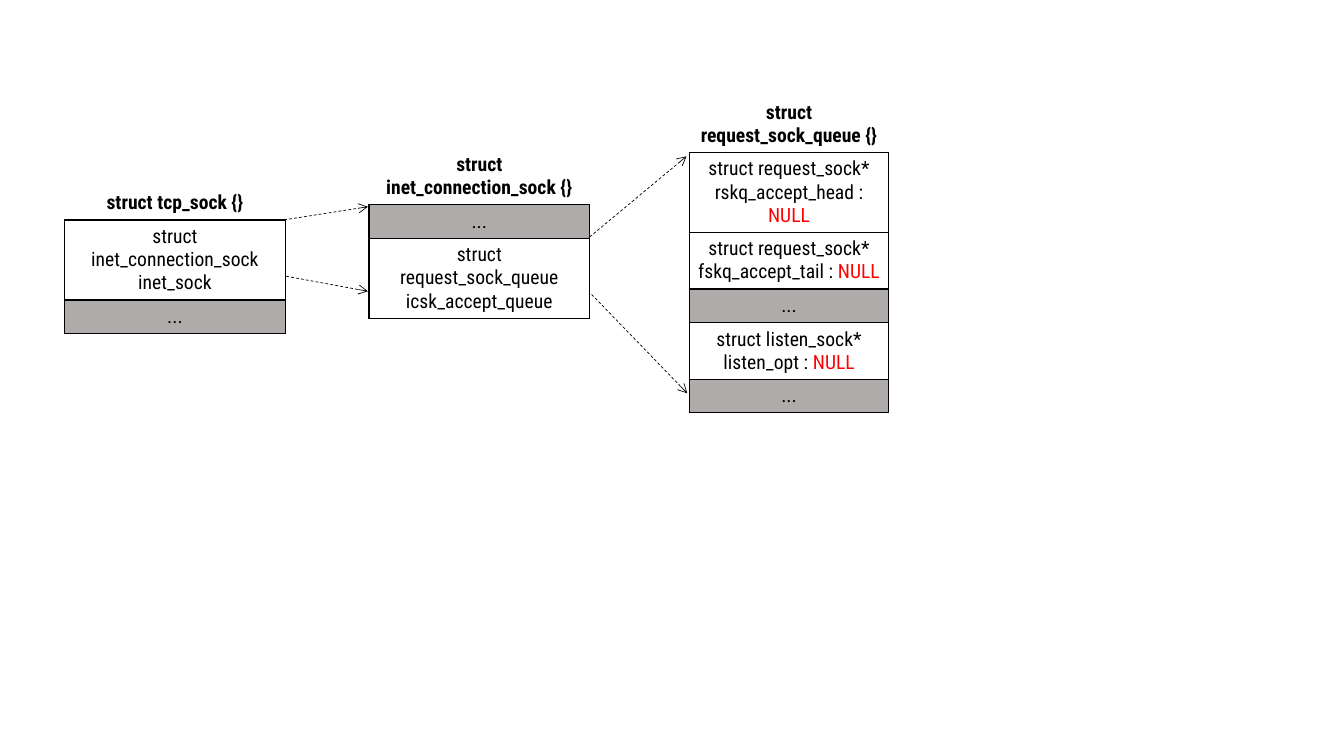
from lxml import etree
from pptx import Presentation
from pptx import util as u
from pptx.dml import color
from pptx.enum import dml, shapes, text
from pptx.oxml import ns

FONT = "Roboto Condensed"
BLACK, RED, GRAY = "000000", "FF0000", "AFABAB"
ELLIPSIS = [("...", BLACK)]
LINE_HEIGHT, ROW_PADDING = 0.585, 0.26


def rgb(value):
    return color.RGBColor.from_string(value)


def add_text(paragraph, content, size=14, fill=BLACK, bold=False):
    run = paragraph.add_run()
    run.text = content
    run.font.name = FONT
    run.font.size = u.Pt(size)
    run.font.bold = bold
    run.font.color.rgb = rgb(fill)


def set_borders(cell, visible):
    properties = cell._tc.get_or_add_tcPr()
    for side in "LRTB":
        border = etree.SubElement(properties, ns.qn(f"a:ln{side}"), w=str(u.Pt(1)))
        if side in visible:
            solid = etree.SubElement(border, ns.qn("a:solidFill"))
            etree.SubElement(solid, ns.qn("a:srgbClr"), val=BLACK)
        else:
            etree.SubElement(border, ns.qn("a:noFill"))


def add_struct(slide, left, top, width, title, title_lines, fields, side_margin=0.25):
    rows = [([(title, BLACK)], title_lines)] + fields
    heights = [u.Cm(lines * LINE_HEIGHT + ROW_PADDING) for _, lines in rows]
    struct = slide.shapes.add_table(
        len(rows), 1, u.Cm(left), u.Cm(top), u.Cm(width), sum(heights)).table
    struct.first_row = struct.horz_banding = False
    for index, (parts, _) in enumerate(rows):
        struct.rows[index].height = heights[index]
        cell = struct.cell(index, 0)
        cell.margin_left = cell.margin_right = u.Cm(side_margin)
        cell.margin_top = cell.margin_bottom = u.Cm(0.13)
        set_borders(cell, "LRTB" if index else "B")
        if parts is ELLIPSIS:
            cell.fill.solid()
            cell.fill.fore_color.rgb = rgb(GRAY)
        else:
            cell.fill.background()
        paragraph = cell.text_frame.paragraphs[0]
        paragraph.alignment = text.PP_ALIGN.CENTER
        for content, fill in parts:
            add_text(paragraph, content, fill=fill, bold=index == 0)


def add_arrow(slide, *ends):
    arrow = slide.shapes.add_connector(
        shapes.MSO_CONNECTOR.STRAIGHT, *[u.Cm(end) for end in ends])
    arrow.line.color.rgb = rgb(BLACK)
    arrow.line.width = u.Pt(0.5)
    arrow.line.dash_style = dml.MSO_LINE.DASH
    properties = arrow.element.spPr
    etree.SubElement(properties.get_or_add_ln(), ns.qn("a:tailEnd"), type="arrow")
    etree.SubElement(properties, ns.qn("a:effectLst"))


def add_accept_queue_diagram(slide):
    add_struct(slide, 17.37, 2.41, 5.03, "struct request_sock_queue {}", 2, [
        ([("struct request_sock* rskq_accept_head : ", BLACK), ("NULL", RED)], 3),
        ([("struct request_sock* fskq_accept_tail :", BLACK), (" NULL", RED)], 2),
        (ELLIPSIS, 1),
        ([("struct listen_sock* listen_opt : ", BLACK), ("NULL", RED)], 2),
        (ELLIPSIS, 1),
    ], side_margin=0.13)
    add_struct(slide, 1.63, 4.7, 5.56, "struct tcp_sock {}", 1, [
        ([("struct inet_connection_sock inet_sock", BLACK)], 3),
        (ELLIPSIS, 1),
    ])
    add_struct(slide, 9.3, 3.73, 5.56, "struct inet_connection_sock {}", 2, [
        (ELLIPSIS, 1),
        ([("struct request_sock_queue icsk_accept_queue", BLACK)], 3),
    ])
    for ends in [
        (7.16, 5.54, 9.27, 5.21),
        (7.21, 6.96, 9.27, 7.34),
        (14.86, 5.97, 17.3, 3.94),
        (14.91, 7.42, 17.32, 9.91),
    ]:
        add_arrow(slide, *ends)


deck = Presentation()
deck.slide_width, deck.slide_height = u.Cm(33.87), u.Cm(19.05)
add_accept_queue_diagram(deck.slides.add_slide(deck.slide_layouts[6]))
deck.save("out.pptx")
